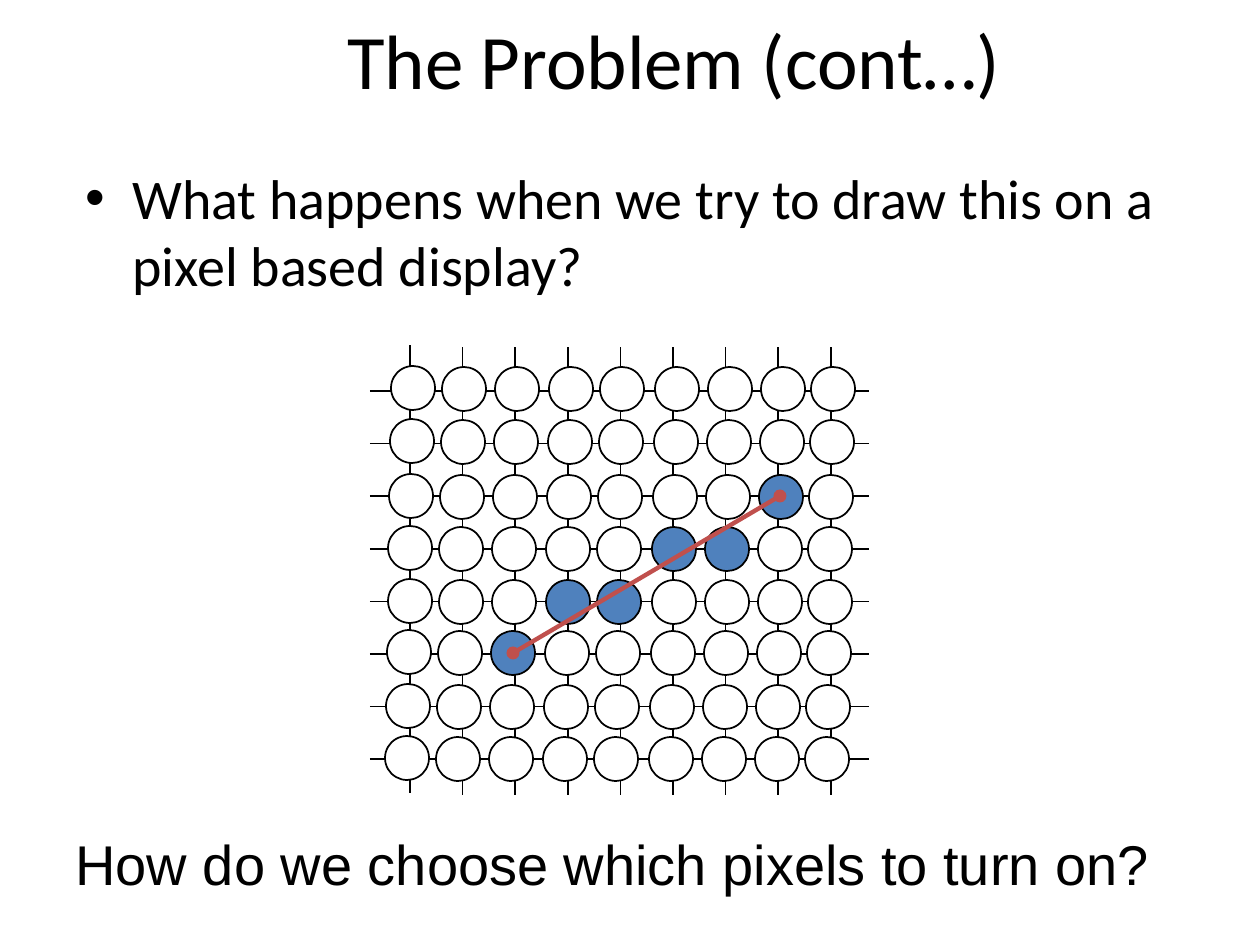
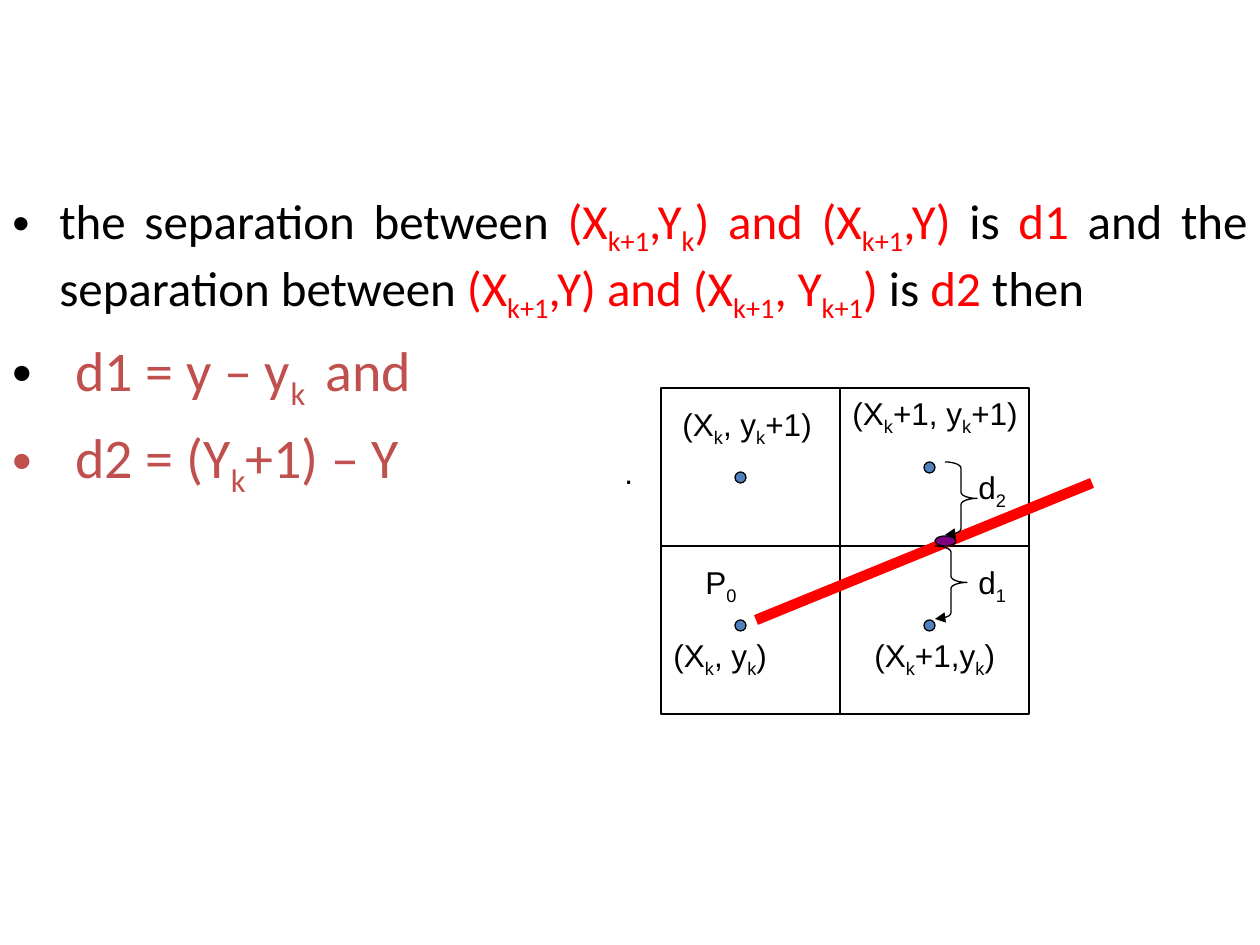
from dataclasses import dataclass

from lxml.etree import SubElement
from pptx import Presentation
from pptx.dml.color import RGBColor
from pptx.enum.shapes import MSO_CONNECTOR as Link, MSO_SHAPE as Shape
from pptx.enum.text import MSO_ANCHOR as Anchor, MSO_AUTO_SIZE as Fit, PP_ALIGN as Align
from pptx.oxml.ns import qn
from pptx.util import Emu, Pt


@dataclass(frozen=True)
class Theme:
    ink: str = "000000"
    paper: str = "FFFFFF"
    lit: str = "4F81BD"
    accent: str = "C0504D"
    red: str = "FF0000"
    purple: str = "800080"
    text_font: str = "Calibri"
    label_font: str = "Arial"
    title_size: int = 44
    body_size: int = 32
    small_body_size: int = 28
    label_size: int = 18
    grid_line: float = 1
    thin_line: float = 0.75


THEME = Theme()
PIXELS_PER_INCH = 126


def px(length):
    return Emu(round(length * 914400 / PIXELS_PER_INCH))


def rgb(color):
    return RGBColor.from_string(color)


def set_all(target, values):
    for name, value in values.items():
        setattr(target, name, value)


# Text: spans are (text, colour) pairs; square brackets mark subscripts
def add_spans(paragraph, spans, font, size):
    for text, color in spans:
        for index, part in enumerate(text.replace("]", "[").split("[")):
            if not part:
                continue
            run = paragraph.add_run()
            run.text = part
            set_all(run.font, {"name": font, "size": Pt(size)})
            run.font.color.rgb = rgb(color)
            if index % 2:
                run._r.get_or_add_rPr().set("baseline", "-25000")


def style_paragraph(paragraph, bullet):
    props = paragraph._p.get_or_add_pPr()
    space = SubElement(props, qn("a:spcBef"))
    SubElement(space, qn("a:spcPct")).set("val", "20000")
    if bullet:
        hanging = px(47)
        props.set("marL", str(hanging))
        props.set("indent", str(-hanging))
        SubElement(props, qn("a:buFont")).set("typeface", "Arial")
        SubElement(props, qn("a:buChar")).set("char", "•")


def add_frame(slide, box, **settings):
    frame = slide.shapes.add_textbox(*map(px, box)).text_frame
    set_all(frame, {"word_wrap": True, "auto_size": Fit.NONE, **settings})
    return frame


def add_title(slide, box, text):
    title = add_frame(slide, box, vertical_anchor=Anchor.MIDDLE).paragraphs[0]
    title.alignment = Align.CENTER
    add_spans(title, [(text, THEME.ink)], THEME.text_font, THEME.title_size)


def add_body(slide, box, points, font=THEME.text_font, bullet=True):
    frame = add_frame(slide, box)
    for index, (spans, size, alignment) in enumerate(points):
        point = frame.add_paragraph() if index else frame.paragraphs[0]
        point.alignment = alignment
        style_paragraph(point, bullet)
        add_spans(point, spans, font, size)


def add_label(slide, box, text, wrap=False):
    frame = add_frame(slide, box, word_wrap=wrap, auto_size=Fit.SHAPE_TO_FIT_TEXT)
    add_spans(frame.paragraphs[0], [(text, THEME.ink)], THEME.label_font, THEME.label_size)


# Drawing
def add_ends(drawn, **ends):
    outline = drawn._element.spPr.find(qn("a:ln"))
    for end, kind in ends.items():
        SubElement(outline, qn(f"a:{end}")).set("type", kind)


def add_line(slide, start, end, color=THEME.ink, width=THEME.grid_line):
    line = slide.shapes.add_connector(Link.STRAIGHT, *map(px, (*start, *end)))
    line.line.color.rgb = rgb(color)
    line.line.width = Pt(width)
    SubElement(line._element.spPr, qn("a:effectLst"))
    return line


def add_outlined(slide, kind, box, fill=None, width=THEME.thin_line):
    shape = slide.shapes.add_shape(kind, *map(px, box))
    shape.shadow.inherit = False
    if fill:
        shape.fill.solid()
        shape.fill.fore_color.rgb = rgb(fill)
    else:
        shape.fill.background()
    shape.line.color.rgb = rgb(THEME.ink)
    shape.line.width = Pt(width)
    return shape


def add_pixel_display(slide, box):
    left, top, width, height = box
    pitch, rows, columns, diameter = 52.6, 8, 9, 44
    lit_pixels = {(5, 2), (4, 3), (4, 4), (3, 5), (3, 6), (2, 7)}
    column_lefts = (21, 72, 125, 179, 230, 285, 338, 391, 441)
    row_tops = (21, 74, 129, 181, 234, 285, 339, 391)

    # Wires, the first column a little higher than the rest
    for column in range(columns):
        x = left + 40 + column * pitch
        lift = 2 if column == 0 else 0
        add_line(slide, (x, top + height - lift), (x, top + 1 - lift))
    for row in range(rows):
        y = top + 45 + row * pitch
        add_line(slide, (left, y), (left + width, y))

    # Pixels, each row leaning slightly to the left
    for row, row_top in enumerate(row_tops):
        for column, column_left in enumerate(column_lefts):
            x = left + column_left - round(row * 0.85)
            y = top + row_top - (column == 0)
            fill = THEME.lit if (row, column) in lit_pixels else THEME.paper
            add_outlined(slide, Shape.OVAL, (x, y, diameter, diameter), fill, THEME.grid_line)

    # Ideal line
    ideal = add_line(slide, (left + 143, top + 307), (left + 410, top + 150), THEME.accent, 2.5)
    add_ends(ideal, headEnd="oval", tailEnd="oval")


def add_distance_diagram(slide, box):
    left, top, width, height = box
    middle_x, middle_y = left + 179, top + 158

    # Four cells
    add_outlined(slide, Shape.RECTANGLE, box, THEME.paper)
    add_line(slide, (middle_x, top), (middle_x, top + height), width=THEME.thin_line)
    add_line(slide, (left, middle_y), (left + width, middle_y), width=THEME.thin_line)

    # True line
    add_line(slide, (left + 95, top + 232), (left + 431, top + 95), THEME.red, 6)

    # Pixel centres
    for x, y in ((263, 232), (263, 74), (74, 232), (74, 84)):
        add_outlined(slide, Shape.OVAL, (left + x, top + y, 11, 11), THEME.lit)

    # Distances d1 and d2
    for x, y in ((274, 158), (284, 74)):
        brace = add_outlined(slide, Shape.RIGHT_BRACE, (left + x, top + y, 32, 73))
        brace.adjustments[0] = 0.194
        add_ends(brace, tailEnd="triangle")

    # Labels
    for x, y, label_width, text in (
        (0, 242, 122, "(X[k], y[k])"),
        (9, 11, 158, "(X[k], y[k]+1)"),
        (179, 0, 193, "(X[k]+1, y[k]+1)"),
        (201, 242, 149, "(X[k]+1,y[k])"),
        (32, 169, 58, "P[0]"),
        (305, 169, 54, "d[1]"),
        (305, 74, 54, "d[2]"),
    ):
        add_label(slide, (left + x, top + y, label_width, 50), text)

    # Crossing point
    add_outlined(slide, Shape.OVAL, (left + 274, top + 148, 21, 10), THEME.purple)


def build_problem_slide(slide):
    add_title(slide, (88, 0, 1172, 117), "The Problem (cont…)")
    prompt = "What happens when we try to draw this on a pixel based display?"
    add_body(slide, (73, 157, 1134, 147), [([(prompt, THEME.ink)], THEME.body_size, Align.LEFT)])
    add_pixel_display(slide, (370, 346, 499, 449))
    question = "How do we choose which pixels to turn on?"
    add_body(slide, (63, 823, 1165, 96), [([(question, THEME.ink)], THEME.body_size, Align.LEFT)],
             font=THEME.label_font, bullet=False)


def build_separation_slide(slide):
    ink, red, accent = THEME.ink, THEME.red, THEME.accent
    separation = [
        ("the separation between ", ink), ("(X[k+1],Y[k]) and (X[k+1],Y) ", red),
        ("is", ink), (" d1", red), (" and the separation between ", ink),
        ("(X[k+1],Y) and (X[k+1], Y[k+1]) ", red),
        ("is", ink), (" d2 ", red), ("then", ink),
    ]
    add_body(slide, (0, 184, 1260, 761), [
        (separation, THEME.small_body_size, Align.JUSTIFY),
        ([("\t", ink), ("d1 = y – y[k ] and", accent)], THEME.body_size, Align.LEFT),
        ([("\td2 = (Y[k]+1) – Y ", accent)], THEME.body_size, Align.LEFT),
    ])
    add_label(slide, (612, 447, 227, 50), ".", wrap=True)
    add_distance_diagram(slide, (661, 388, 368, 326))


deck = Presentation()
deck.slide_width, deck.slide_height = px(1260), px(945)
blank = deck.slide_layouts[6]
for build in (build_problem_slide, build_separation_slide):
    build(deck.slides.add_slide(blank))
deck.save("out.pptx")
